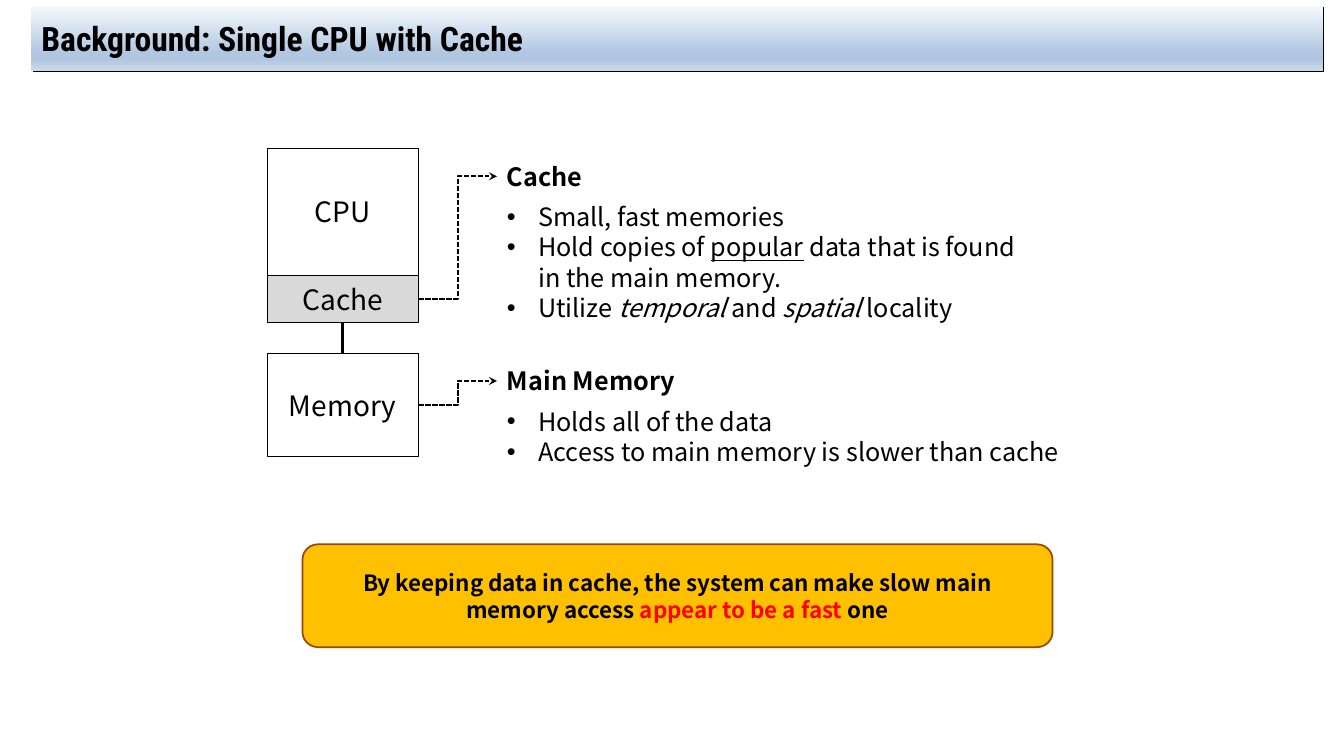
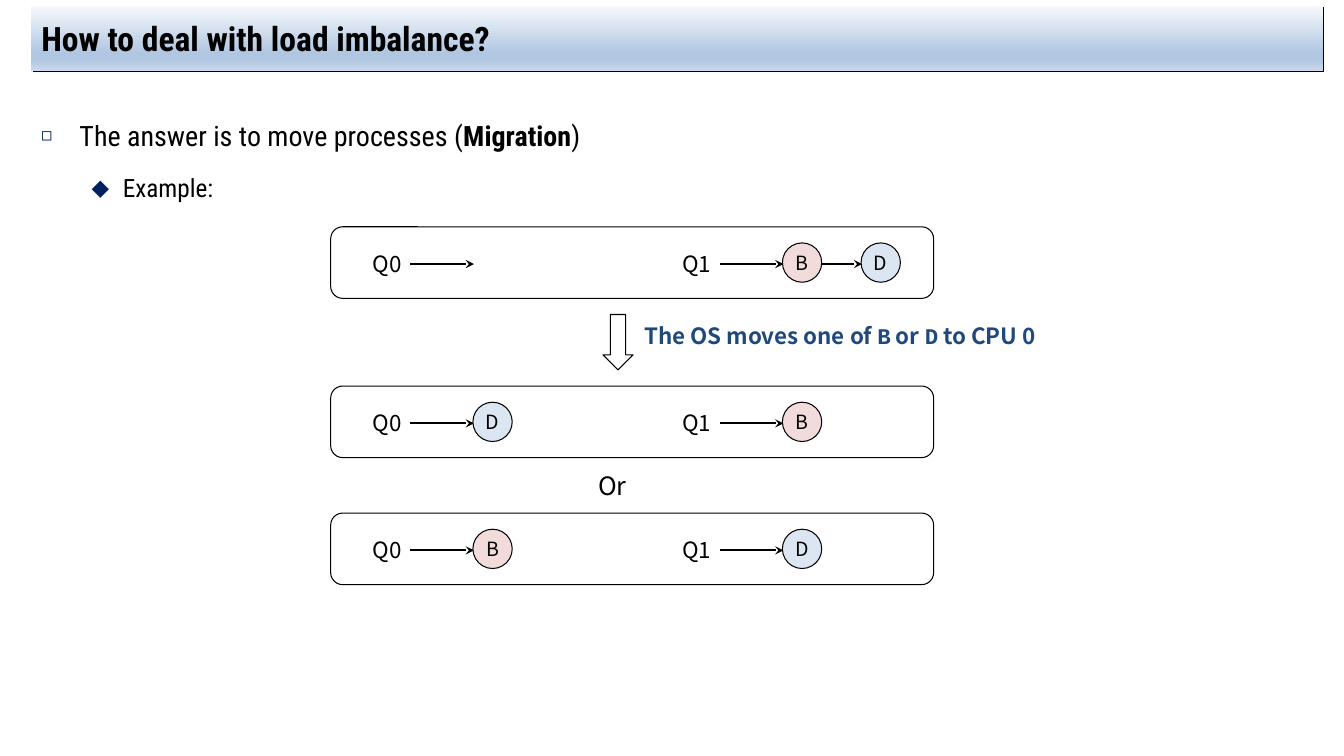
from pptx import Presentation
from pptx.dml.color import RGBColor
from pptx.enum.dml import MSO_LINE
from pptx.enum.shapes import MSO_CONNECTOR, MSO_SHAPE
from pptx.enum.text import MSO_ANCHOR, MSO_AUTO_SIZE, PP_ALIGN
from pptx.oxml import parse_xml
from pptx.oxml.ns import nsdecls, qn
from pptx.util import Inches, Pt

SLIDE_WIDTH, SLIDE_HEIGHT = Inches(13.33), Inches(7.5)
UNIT = SLIDE_HEIGHT / 75  # side of one square cell: 75 rows, 133.3 columns
TITLE_ONLY = 5

COLORS = {
    "ink": "000000",
    "paper": "FFFFFF",
    "cache": "D9D9D9",
    "banner": "FFC000",
    "banner_edge": "984807",
    "alert": "FF0000",
    "bullet": "002060",
    "caption": "1F497D",
    "B": "F2DCDB",
    "D": "DCE6F2",
}
TITLE_GRADIENT = [(0, "F6F9FC"), (74, "B0C6E1"), (83, "B0C6E1"), (100, "CAD9EB")]

DIAGRAM = {"name": "Noto Sans CJK KR", "size": Pt(18), "color": "ink"}
OUTLINE = {"name": "Roboto Condensed", "size": Pt(20), "color": "ink"}
TITLE = {**OUTLINE, "size": Pt(24), "bold": True}
QUEUE_LABEL = {**DIAGRAM, "size": Pt(16)}
BLOCK_LABEL = {**DIAGRAM, "size": Pt(20)}
TASK_LABEL = {**DIAGRAM, "size": Pt(14)}

DOT = {"char": "•", "indent": 3.1, "hang": 3.1, "color": "ink", "percent": 100}
SQUARE = {"char": "◻", "indent": 3.8, "hang": 3.8, "color": "bullet", "percent": 65}
DIAMOND = {"char": "⬥", "indent": 8.1, "hang": 3.1, "color": "bullet", "percent": 100}


def cells(*counts):
    return [round(count * UNIT) for count in counts]


def rgb(name):
    return RGBColor.from_string(COLORS[name])


def set_all(target, values):
    for name, value in values.items():
        setattr(target, name, value)


def add_bullet(paragraph, bullet):
    properties = paragraph._p.get_or_add_pPr()
    indent, hang = cells(bullet["indent"], bullet["hang"])
    properties.set("marL", str(indent))
    properties.set("indent", str(-hang))
    for markup in (
        f'<a:buClr {nsdecls("a")}><a:srgbClr val="{COLORS[bullet["color"]]}"/></a:buClr>',
        f'<a:buSzPct {nsdecls("a")} val="{bullet["percent"] * 1000}"/>',
        f'<a:buFont {nsdecls("a")} typeface="Arial"/>',
        f'<a:buChar {nsdecls("a")} char="{bullet["char"]}"/>',
    ):
        properties.append(parse_xml(markup))


def write_runs(paragraph, runs, style):
    """Each run is a string, or a string with the values that differ from style."""
    for item in runs:
        text, changes = (item, {}) if isinstance(item, str) else item
        values = {**style, **changes}
        run = paragraph.add_run()
        run.text = text
        run.font.color.rgb = rgb(values.pop("color"))
        set_all(run.font, values)


def write_list(frame, items, line_spacing=None, space_before=None):
    """Write items of (bullet, style, runs) as the paragraphs of a frame."""
    for index, (bullet, style, runs) in enumerate(items):
        paragraph = frame.add_paragraph() if index else frame.paragraphs[0]
        add_bullet(paragraph, bullet)
        paragraph.line_spacing = line_spacing
        if index:
            paragraph.space_before = space_before
        write_runs(paragraph, runs, style)


def add_text_box(slide, at, wrap=True, grow=True):
    shape = slide.shapes.add_textbox(*cells(*at))
    set_all(shape.text_frame, {
        "word_wrap": wrap,
        "auto_size": MSO_AUTO_SIZE.SHAPE_TO_FIT_TEXT if grow else MSO_AUTO_SIZE.NONE,
    })
    return shape


def add_label(slide, at, runs, style, align=PP_ALIGN.LEFT, wrap=True):
    shape = add_text_box(slide, at, wrap)
    paragraph = shape.text_frame.paragraphs[0]
    paragraph.alignment = align
    write_runs(paragraph, runs, style)
    return shape


def add_block(slide, kind, at, fill=None, runs=(), style=DIAGRAM, edge="ink",
              weight=0.75, side_margin=1.2):
    shape = slide.shapes.add_shape(kind, *cells(*at))
    shape.shadow.inherit = False
    if fill:
        shape.fill.solid()
        shape.fill.fore_color.rgb = rgb(fill)
    else:
        shape.fill.background()
    shape.line.color.rgb = rgb(edge)
    shape.line.width = Pt(weight)
    side, end = cells(side_margin, 0.5)
    set_all(shape.text_frame, {
        "word_wrap": True, "vertical_anchor": MSO_ANCHOR.MIDDLE,
        "margin_left": side, "margin_right": side,
        "margin_top": end, "margin_bottom": end,
    })
    paragraph = shape.text_frame.paragraphs[0]
    paragraph.alignment = PP_ALIGN.CENTER
    write_runs(paragraph, runs, style)
    return shape


def add_line(slide, points=(0, 0, 0, 0), kind=MSO_CONNECTOR.STRAIGHT, weight=1.5,
             dash=None, arrow=True, joins=None):
    """joins is (shape, side, shape, side) and takes the place of points."""
    connector = slide.shapes.add_connector(kind, *cells(*points))
    if joins:
        connector.begin_connect(*joins[:2])
        connector.end_connect(*joins[2:])
    connector.line.color.rgb = rgb("ink")
    connector.line.width = Pt(weight)
    if dash:
        connector.line.dash_style = dash
    properties = connector.element.spPr
    if arrow:
        properties.find(qn("a:ln")).append(
            parse_xml(f'<a:tailEnd {nsdecls("a")} type="stealth"/>'))
    properties.append(parse_xml(f'<a:effectLst {nsdecls("a")}/>'))


def add_titled_slide(presentation, text):
    slide = presentation.slides.add_slide(presentation.slide_layouts[TITLE_ONLY])
    title = slide.shapes.title
    left, top, width, height = cells(3.1, 0.6, 128.1, 6.4)
    set_all(title, {"left": left, "top": top, "width": width, "height": height})
    stops = "".join(
        f'<a:gs pos="{position * 1000}"><a:srgbClr val="{color}"/></a:gs>'
        for position, color in TITLE_GRADIENT)
    for markup in (
        f'<a:gradFill {nsdecls("a")} rotWithShape="1"><a:gsLst>{stops}</a:gsLst>'
        '<a:lin ang="5400000" scaled="0"/></a:gradFill>',
        f'<a:effectLst {nsdecls("a")}><a:outerShdw dist="{Pt(1.4)}" dir="2700000" '
        f'algn="tl" rotWithShape="0"><a:srgbClr val="{COLORS["ink"]}"/>'
        '</a:outerShdw></a:effectLst>',
    ):
        title.element.spPr.append(parse_xml(markup))
    set_all(title.text_frame, {
        "vertical_anchor": MSO_ANCHOR.MIDDLE, "word_wrap": True,
        "auto_size": MSO_AUTO_SIZE.NONE,
    })
    paragraph = title.text_frame.paragraphs[0]
    paragraph.alignment = PP_ALIGN.LEFT
    write_runs(paragraph, [text], TITLE)
    return slide


def add_topic(slide, source, top, heading, heading_width, list_width, list_height, items):
    """Heading and bullets, with a dashed arrow from the block they explain."""
    left = 49.3
    heading_box = add_label(slide, (left, top, heading_width, 4), [heading],
                            {**DIAGRAM, "bold": True})
    body = add_text_box(slide, (left, top + 4, list_width, list_height))
    write_list(body.text_frame, [(DOT, DIAGRAM, runs) for runs in items])
    add_line(slide, kind=MSO_CONNECTOR.ELBOW, weight=1.25, dash=MSO_LINE.SQUARE_DOT,
             joins=(source, 3, heading_box, 1))


def add_queue(slide, label, left, panel_top, tasks):
    """Queue name, then an arrow to each task in turn."""
    size, pitch, first = 3.9, 7.8, left + 10.9
    middle = panel_top + 3.7
    add_label(slide, (left, panel_top + 1.8, 5, 3.7), [label], QUEUE_LABEL, wrap=False)
    add_line(slide, (left + 4.7, middle, first + 0.1, middle))
    for index, task in enumerate(tasks):
        task_left = first + index * pitch
        if index:
            add_line(slide, (task_left - pitch + size, middle, task_left + 0.1, middle))
        add_block(slide, MSO_SHAPE.OVAL, (task_left, panel_top + 1.6, size, size), task,
                  [task], TASK_LABEL, side_margin=0)


def build_cache_slide(presentation):
    slide = add_titled_slide(presentation, "Background: Single CPU with Cache")
    blocks = {}
    for name, top, height, fill in (
        ("CPU", 14.7, 12.6, "paper"),
        ("Cache", 27.3, 4.7, "cache"),
        ("Memory", 35.1, 10.2, "paper"),
    ):
        blocks[name] = add_block(slide, MSO_SHAPE.RECTANGLE, (26.5, top, 15, height),
                                 fill, [name], BLOCK_LABEL)
    add_line(slide, weight=2, arrow=False, joins=(blocks["Cache"], 2, blocks["Memory"], 0))

    italic = {"italic": True}
    add_topic(slide, blocks["Cache"], 15.5, "Cache", 12, 54.3, 13.1, [
        ["Small, fast memories"],
        ["Hold copies of ", ("popular", {"underline": True}),
         " data that is found in the main memory."],
        ["Utilize ", ("temporal", italic), " and ", ("spatial", italic), " locality"],
    ])
    add_topic(slide, blocks["Memory"], 35.8, "Main Memory", 25.2, 59.8, 7.1, [
        ["Holds all of the data"],
        ["Access to main memory is slower than cache"],
    ])
    banner = add_block(
        slide, MSO_SHAPE.ROUNDED_RECTANGLE, (30, 54, 74.4, 10.2), "banner",
        ["By keeping data in cache, the system can make slow main memory access ",
         ("appear to be a fast ", {"color": "alert"}), "one"],
        {**DIAGRAM, "size": Pt(16), "bold": True}, edge="banner_edge", weight=1.25)
    banner.adjustments[0] = 0.15


def build_migration_slide(presentation):
    slide = add_titled_slide(presentation, "How to deal with load imbalance?")
    body = add_text_box(slide, (3.1, 9.6, 128.1, 60.2), grow=False)
    write_list(body.text_frame, [
        (SQUARE, OUTLINE,
         ["The answer is to move processes (", ("Migration", {"bold": True}), ")"]),
        (DIAMOND, {**OUTLINE, "size": Pt(18)}, ["Example:"]),
    ], line_spacing=1.5, space_before=Pt(3.6))

    for top, first_queue, second_queue in (
        (22.5, "", "BD"), (38.3, "D", "B"), (50.9, "B", "D"),
    ):
        add_block(slide, MSO_SHAPE.ROUNDED_RECTANGLE, (32.8, top, 59.8, 7.1))
        add_queue(slide, "Q0", 36, top, first_queue)
        add_queue(slide, "Q1", 66.7, top, second_queue)

    add_block(slide, MSO_SHAPE.DOWN_ARROW, (59.8, 31.2, 3, 5.5), "paper")
    code = {"name": "Courier New"}
    add_label(slide, (62.9, 31.5, 51, 3.7),
              ["The OS moves one of ", ("B", code), " or ", ("D", code), " to CPU 0"],
              {**QUEUE_LABEL, "color": "caption", "bold": True})
    add_label(slide, (56.4, 46.2, 8.7, 4), ["Or"], DIAGRAM, PP_ALIGN.CENTER)


def main():
    presentation = Presentation()
    set_all(presentation, {"slide_width": SLIDE_WIDTH, "slide_height": SLIDE_HEIGHT})
    build_cache_slide(presentation)
    build_migration_slide(presentation)
    presentation.save("out.pptx")


if __name__ == "__main__":
    main()
